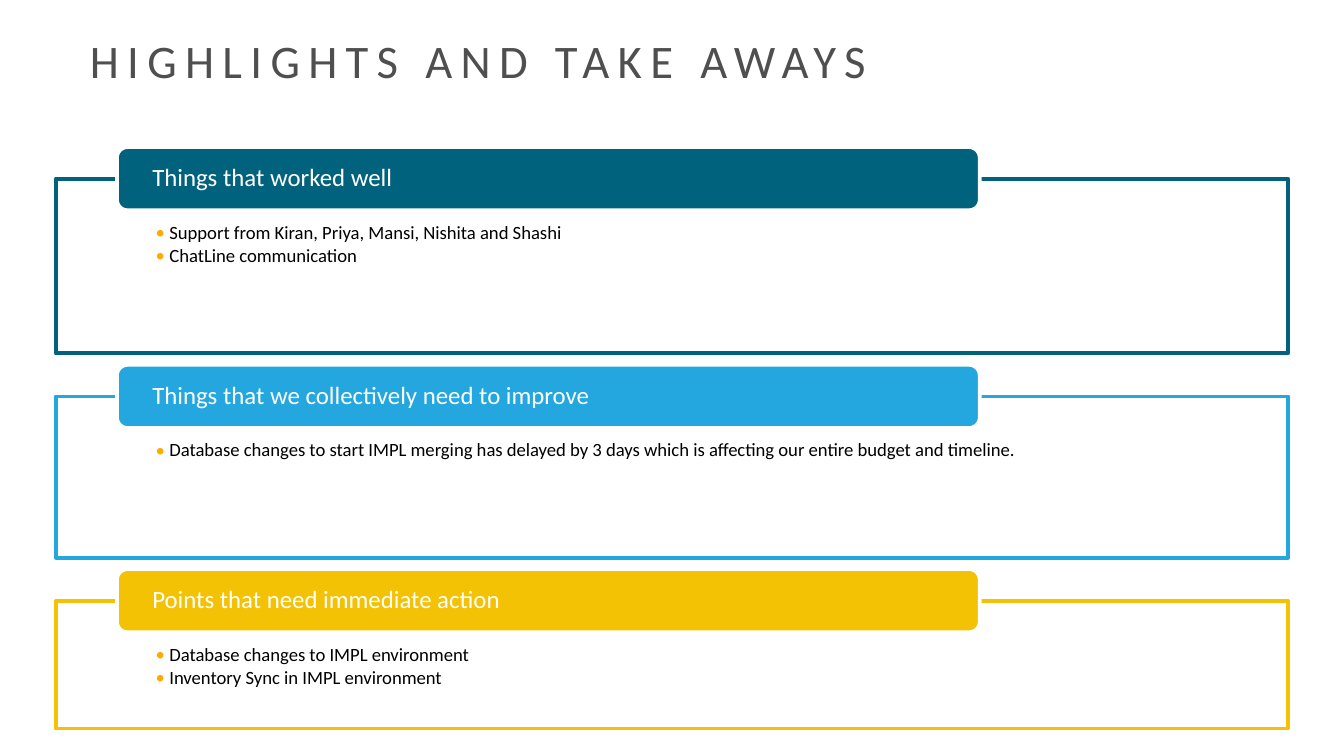
from lxml import etree
from pptx import Presentation
from pptx.dml.color import RGBColor
from pptx.enum.shapes import MSO_SHAPE
from pptx.enum.text import MSO_ANCHOR, PP_ALIGN
from pptx.oxml.ns import qn
from pptx.util import Inches, Pt

RECTANGLE = MSO_SHAPE.RECTANGLE
ROUNDED = MSO_SHAPE.ROUNDED_RECTANGLE
TOP, MIDDLE, BOTTOM = MSO_ANCHOR.TOP, MSO_ANCHOR.MIDDLE, MSO_ANCHOR.BOTTOM
LEFT = PP_ALIGN.LEFT

# Content
TITLE = "HIGHLIGHTS AND TAKE AWAYS"
SECTIONS = [  # heading, colour, panel height, points
    ("Things that worked well", "00627D", 1.3,
     ["Support from Kiran, Priya, Mansi, Nishita and Shashi",
      "ChatLine communication"]),
    ("Things that we collectively need to improve", "24A7DF", 1.2,
     ["Database changes to start IMPL merging has delayed by 3 days "
      "which is affecting our entire budget and timeline."]),
    ("Points that need immediate action", "F4C204", 0.95,
     ["Database changes to IMPL environment",
      "Inventory Sync in IMPL environment"]),
]
FONT, BULLET_FONT = "Calibri", "Manrope"

# Layout in inches: a 16:9 page with centred panels
PAGE_WIDTH = 10
PAGE_HEIGHT = PAGE_WIDTH * 9 / 16
PANEL_WIDTH = 9.17
PANEL_LEFT = (PAGE_WIDTH - PANEL_WIDTH) / 2
FIRST_TOP, PANEL_GAP = 1.33, 0.32
HEADING_LEFT, HEADING_WIDTH, HEADING_HEIGHT = 0.87, 6.42, 0.47


def color(value):
    return RGBColor.from_string(value)


def set_frame(frame, anchor, side, top, bottom):
    frame.word_wrap = True
    frame.vertical_anchor = anchor
    frame.margin_left = frame.margin_right = Inches(side)
    frame.margin_top, frame.margin_bottom = Inches(top), Inches(bottom)


def write(frame, lines, size, font_color, space_after=0):
    for index, line in enumerate(lines):
        para = frame.paragraphs[0] if index == 0 else frame.add_paragraph()
        para.text = line
        para.alignment = LEFT
        para.line_spacing = 0.9
        para.space_after = Pt(space_after)
        para.font.name = FONT
        para.font.size = Pt(size)
        para.font.color.rgb = color(font_color)


def add_bullet(para):
    para.level = 1
    props = para._p.get_or_add_pPr()
    indent = Inches(0.12)
    props.set("marL", str(indent))
    props.set("indent", str(-indent))
    bullet_color = etree.Element(qn("a:buClr"))
    etree.SubElement(bullet_color, qn("a:srgbClr"), val="FDAB00")
    bullet_parts = [bullet_color,
                    etree.Element(qn("a:buSzPct"), val="150000"),
                    etree.Element(qn("a:buFont"), typeface=BULLET_FONT),
                    etree.Element(qn("a:buChar"), char="•")]
    # Bullet settings belong before the default run properties
    for part in bullet_parts:
        props.find(qn("a:defRPr")).addprevious(part)


def add_box(page, kind, left, top, width, height, fill, line):
    box = page.shapes.add_shape(kind, Inches(left), Inches(top),
                                Inches(width), Inches(height))
    box.shadow.inherit = False
    box.fill.solid()
    box.fill.fore_color.rgb = color(fill)
    box.line.color.rgb = color(line)
    box.line.width = Pt(2)
    return box


def add_section(page, top, heading, accent, height, points):
    panel = add_box(page, RECTANGLE, PANEL_LEFT, top, PANEL_WIDTH, height,
                    "FFFFFF", accent)
    set_frame(panel.text_frame, TOP, 0.71, 0.33, 0.08)
    write(panel.text_frame, points, 10, "000000", space_after=1.5)
    for para in panel.text_frame.paragraphs:
        add_bullet(para)

    # The heading is centred on the panel's top edge
    label = add_box(page, ROUNDED, HEADING_LEFT, top - HEADING_HEIGHT / 2,
                    HEADING_WIDTH, HEADING_HEIGHT, accent, "FFFFFF")
    set_frame(label.text_frame, MIDDLE, 0.24, 0.02, 0.02)
    write(label.text_frame, [heading], 13.3, "FFFFFF")


def main():
    deck = Presentation()
    deck.slide_width = Inches(PAGE_WIDTH)
    deck.slide_height = Inches(PAGE_HEIGHT)
    page = deck.slides.add_slide(deck.slide_layouts[6])

    # Panels with headings straddling their top edges
    top = FIRST_TOP
    for heading, accent, height, points in SECTIONS:
        add_section(page, top, heading, accent, height, points)
        top += height + PANEL_GAP

    # Title with wide letter spacing
    title = page.shapes.add_textbox(Inches(0.57), Inches(0.29),
                                    Inches(8.1), Inches(0.41))
    set_frame(title.text_frame, BOTTOM, 0.1, 0, 0.04)
    write(title.text_frame, [TITLE], 25, "4F4F4F")
    span = title.text_frame.paragraphs[0].runs[0]
    span.font._element.set("spc", "450")

    deck.save("out.pptx")


if __name__ == "__main__":
    main()
